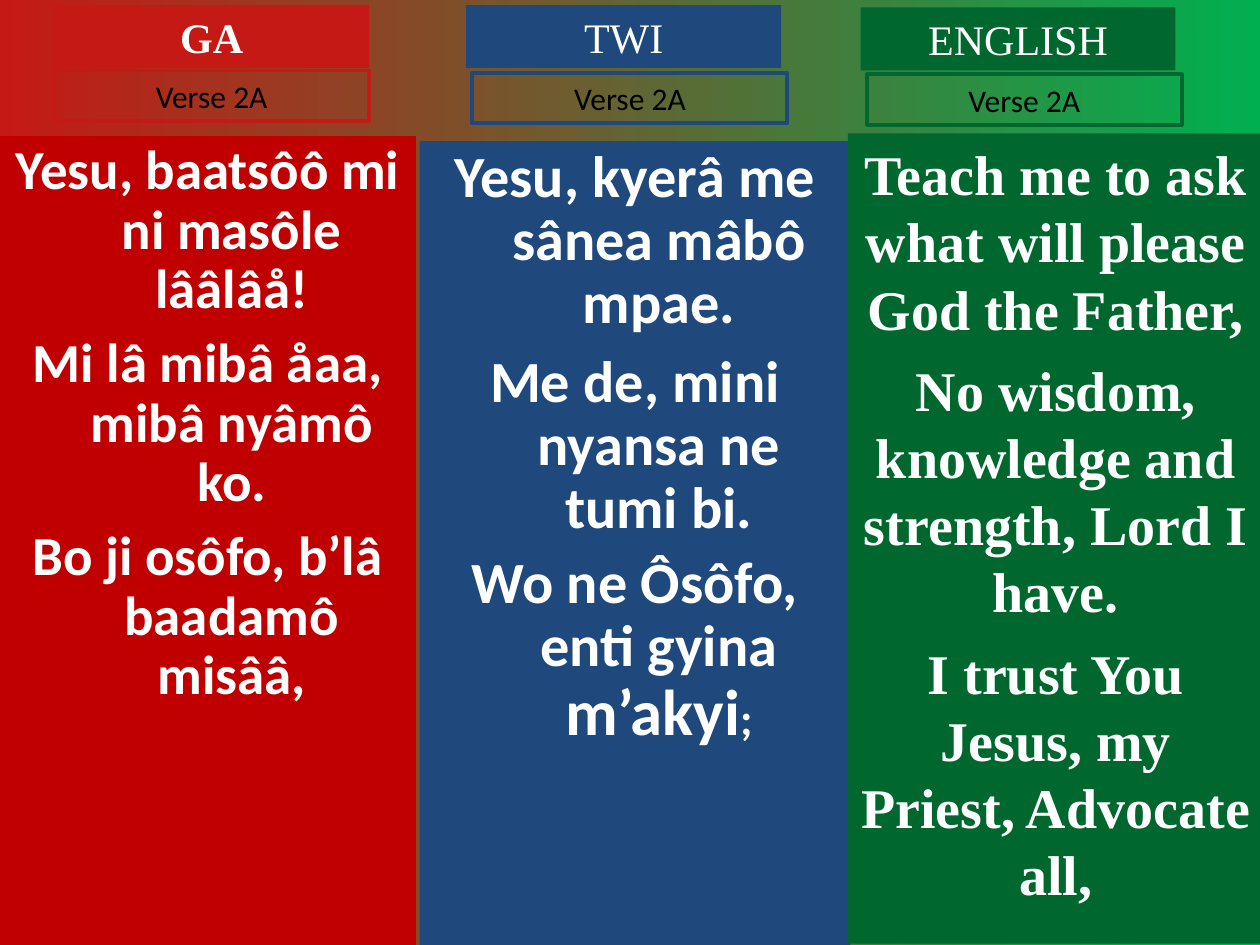
from pptx import Presentation
from pptx import util as u
from pptx.dml.color import RGBColor
from pptx.enum import text
from pptx.oxml.ns import qn
from lxml import etree

EMU_PER_PX = 9144  # 100 px to the inch
COLORS = {
    "ga": "C00000", "ga_head": "C51915", "twi": "1F497D", "english": "00682F",
    "white": "FFFFFF", "black": "000000", "sky_left": "C51915", "sky_right": "00B050",
}
SANS, SERIF = "Calibri", "Times New Roman"
HANG = 38


def px(length):
    return u.Emu(length * EMU_PER_PX)


def rgb(name):
    return RGBColor.from_string(COLORS[name])


class HymnSlide:
    """Holds the slide and the styling of its headings, verse labels and lyrics."""

    def __init__(self, deck):
        self.slide = deck.slides.add_slide(deck.slide_layouts.get_by_name("Two Content"))
        title, *self.bodies = self.slide.placeholders
        title.element.getparent().remove(title.element)

    def background(self, left, right):
        fill = self.slide.background.fill
        fill.gradient()
        fill.gradient_angle = 0
        for stop, name in zip(fill.gradient_stops, (left, right)):
            stop.color.rgb = rgb(name)

    def style(self, para, font, size, color, bold=False):
        para.alignment = text.PP_ALIGN.CENTER
        para.font.name = font
        para.font.size = u.Pt(size)
        para.font.bold = bold
        para.font.color.rgb = rgb(color)

    def text_box(self, at):
        box = self.slide.shapes.add_textbox(*map(px, at))
        box.text_frame.word_wrap = True
        return box

    def label(self, at, words):
        box = self.text_box(at)
        box.text_frame.auto_size = text.MSO_AUTO_SIZE.SHAPE_TO_FIT_TEXT
        para = box.text_frame.paragraphs[0]
        para.text = words
        return box, para

    def heading(self, left, top, words, color, bold):
        box, para = self.label((left, top, 250, 50), words)
        box.fill.solid()
        box.fill.fore_color.rgb = rgb(color)
        self.style(para, SERIF, 24, "white", bold)

    def verse_label(self, left, top, words, color):
        box, para = self.label((left, top, 250, 40), words)
        box.line.color.rgb = rgb(color)
        box.line.width = u.Pt(2.25)
        self.style(para, SANS, 18, "black")

    def hang(self, para):
        """Indents all lines but the first, without a bullet."""
        properties = para._p.get_or_add_pPr()
        properties.set("marL", str(px(HANG)))
        properties.set("indent", str(px(-HANG)))
        etree.SubElement(properties, qn("a:buNone"))

    def lyrics(self, at, lines, color, font, size, gaps, hanging):
        """Each line is a list of (words, size) spans; no size means the column's own."""
        if hanging:
            box = self.bodies.pop(0)
            box.left, box.top, box.width, box.height = map(px, at)
        else:
            box = self.text_box(at)
        box.fill.solid()
        box.fill.fore_color.rgb = rgb(color)
        frame = box.text_frame
        frame.auto_size = text.MSO_AUTO_SIZE.NONE
        for number, (spans, gap) in enumerate(zip(lines, gaps)):
            para = frame.add_paragraph() if number else frame.paragraphs[0]
            if hanging:
                self.hang(para)
                para.line_spacing = 0.9
            para.space_before = u.Pt(gap)
            self.style(para, font, size, "white", bold=True)
            for words, span_size in spans:
                span = para.add_run()
                span.text = words
                if span_size:
                    span.font.size = u.Pt(span_size)


COLUMNS = [
    dict(
        heading=(43, 4, "GA", "ga_head", True),
        verse=(43, 56, "Verse 2A", "ga_head"),
        lyrics=dict(
            at=(0, 108, 330, 642), color="ga", font=SANS, size=31.4,
            gaps=(0, 8.5, 8.5), hanging=True,
            lines=[
                [("Yesu, baatsôô mi ni masôle lââlâå!", None)],
                [("Mi lâ mibâ åaa, mibâ nyâmô ko.", None)],
                [("Bo ji osôfo, b’lâ baadamô misââ,", None)],
            ],
        ),
    ),
    dict(
        heading=(370, 4, "TWI", "twi", False),
        verse=(375, 58, "Verse 2A", "twi"),
        lyrics=dict(
            at=(333, 112, 342, 638), color="twi", font=SANS, size=33.3,
            gaps=(0, 9, 7), hanging=True,
            lines=[
                [("Yesu, kyerâ me sânea mâbô mpae.", None)],
                [("Me de, mini nyansa ne tumi bi.", None)],
                [("Wo ne Ôsôfo, enti gyina ", None), ("m’akyi", 37), (";", 25.9)],
            ],
        ),
    ),
    dict(
        heading=(683, 6, "ENGLISH", "english", False),
        verse=(688, 59, "Verse 2A", "english"),
        lyrics=dict(
            at=(673, 106, 330, 643), color="english", font=SERIF, size=32,
            gaps=(0, 8, 8), hanging=False,
            lines=[
                [("Teach me to ask what will please God the Father,", None)],
                [("No wisdom, knowledge and strength, Lord I have.", None)],
                [("I trust You Jesus, my Priest, Advocate all,", None)],
            ],
        ),
    ),
]


def main():
    deck = Presentation()
    deck.slide_width, deck.slide_height = px(1000), px(750)
    page = HymnSlide(deck)
    page.background("sky_left", "sky_right")
    for column in COLUMNS:
        page.lyrics(**column["lyrics"])
        page.heading(*column["heading"])
        page.verse_label(*column["verse"])
    deck.save("out.pptx")


if __name__ == "__main__":
    main()
